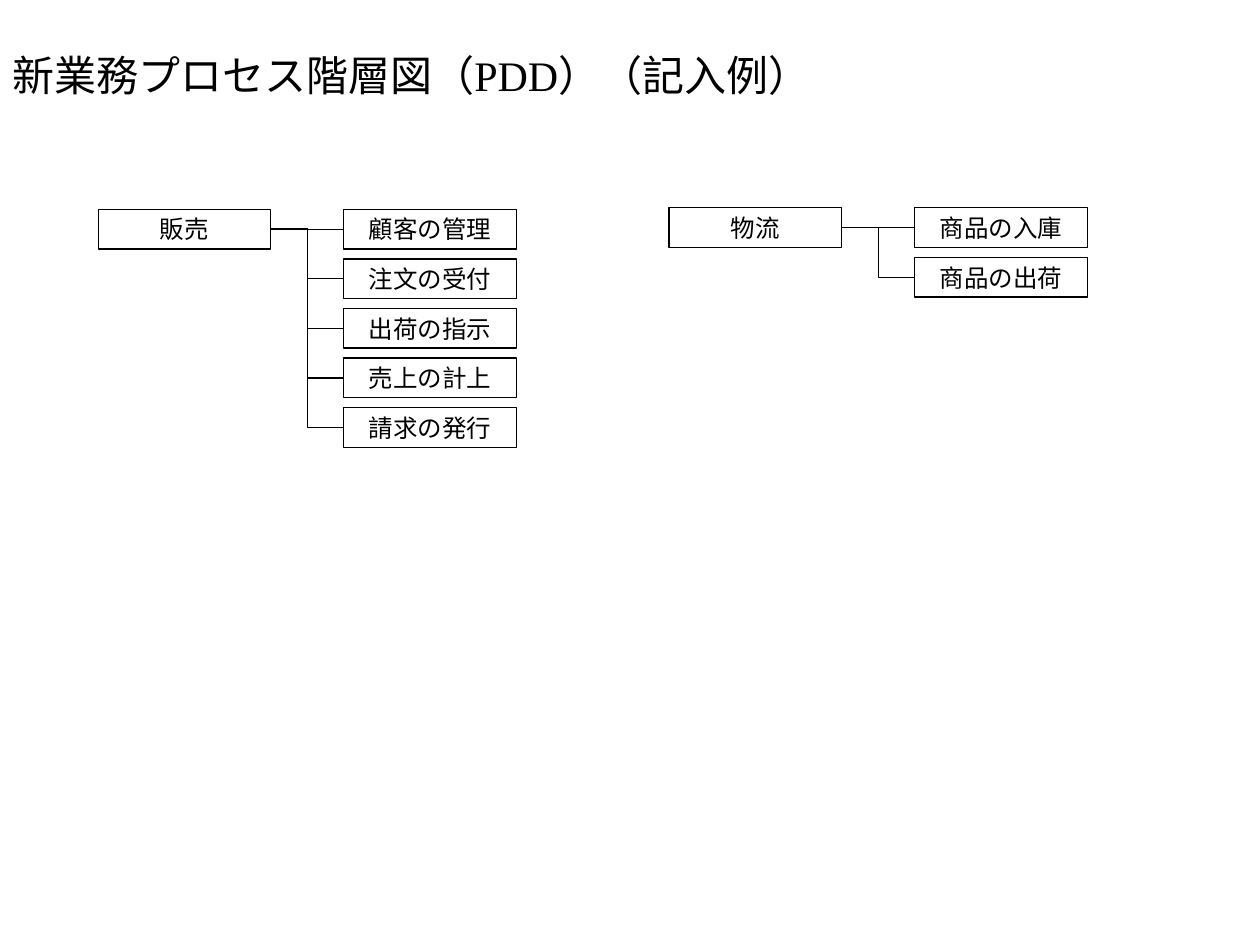
import pptx
import pptx.util
import pptx.dml.color
import pptx.enum.shapes
import pptx.enum.text
import pptx.oxml

Cm = pptx.util.Cm
Pt = pptx.util.Pt
MSO = pptx.enum.shapes.MSO_SHAPE
LINK = pptx.enum.shapes.MSO_CONNECTOR
ANCHOR = pptx.enum.text.MSO_ANCHOR
ALIGN = pptx.enum.text.PP_ALIGN


def rgb(value):
    return pptx.dml.color.RGBColor.from_string(value)


def write(sp, text, frame, font, align):
    tf = sp.text_frame
    for name, value in frame.items():
        setattr(tf, name, value)
    p = tf.paragraphs[0]
    p.alignment = align
    r = p.add_run()
    r.text = text
    for name, value in font.items():
        setattr(r.font, name, value)
    r.font.color.rgb = rgb("000000")


prs = pptx.Presentation()
prs.slide_width, prs.slide_height = Cm(25.4), Cm(19.05)
s = prs.slides.add_slide(prs.slide_layouts[6])

# Title
sp = s.shapes.add_textbox(Cm(0), Cm(0.61), Cm(25.4), Cm(1.52))
write(sp, "新業務プロセス階層図（PDD）（記入例）",
      {"word_wrap": True, "vertical_anchor": ANCHOR.BOTTOM},
      {"size": Pt(24), "name": "Times New Roman"}, ALIGN.LEFT)

# Process trees: name, left, top, sub-processes
trees = [
    ("販売", 1.98, 4.22,
     ["顧客の管理", "注文の受付", "出荷の指示", "売上の計上", "請求の発行"]),
    ("物流", 13.49, 4.19, ["商品の入庫", "商品の出荷"]),
]
box_w, box_h = 3.48, 0.8
col_step, row_step = 4.95, 1.0
box_frame = {"word_wrap": True, "vertical_anchor": ANCHOR.MIDDLE}
for side in ("left", "right", "top", "bottom"):
    box_frame["margin_" + side] = Cm(0.1)
box_font = {"size": Pt(14), "name": "Arial"}

for name, left, top, children in trees:
    # Boxes, the parent first
    cells = [(name, left, top)]
    cells += [(child, left + col_step, top + i * row_step)
              for i, child in enumerate(children)]
    boxes = []
    for text, x, y in cells:
        sp = s.shapes.add_shape(MSO.RECTANGLE, Cm(x), Cm(y), Cm(box_w), Cm(box_h))
        sp.shadow.inherit = False
        sp.fill.background()
        sp.line.color.rgb = rgb("000000")
        sp.line.width = Pt(0.75)
        write(sp, text, box_frame, box_font, ALIGN.CENTER)
        boxes.append(sp)

    # Links from each child back to its parent
    parent = boxes[0]
    for i, child in enumerate(boxes[1:]):
        kind = LINK.ELBOW if i else LINK.STRAIGHT
        link = s.shapes.add_connector(kind, 0, 0, 0, 0)
        link.begin_connect(child, 1)
        link.end_connect(parent, 3)
        link.line.color.rgb = rgb("000000")
        link.line.width = Pt(0.75)
        link._element.spPr.append(pptx.oxml.parse_xml(
            '<a:effectLst xmlns:a="http://schemas.openxmlformats.org/drawingml/2006/main"/>'))

prs.save("out.pptx")
